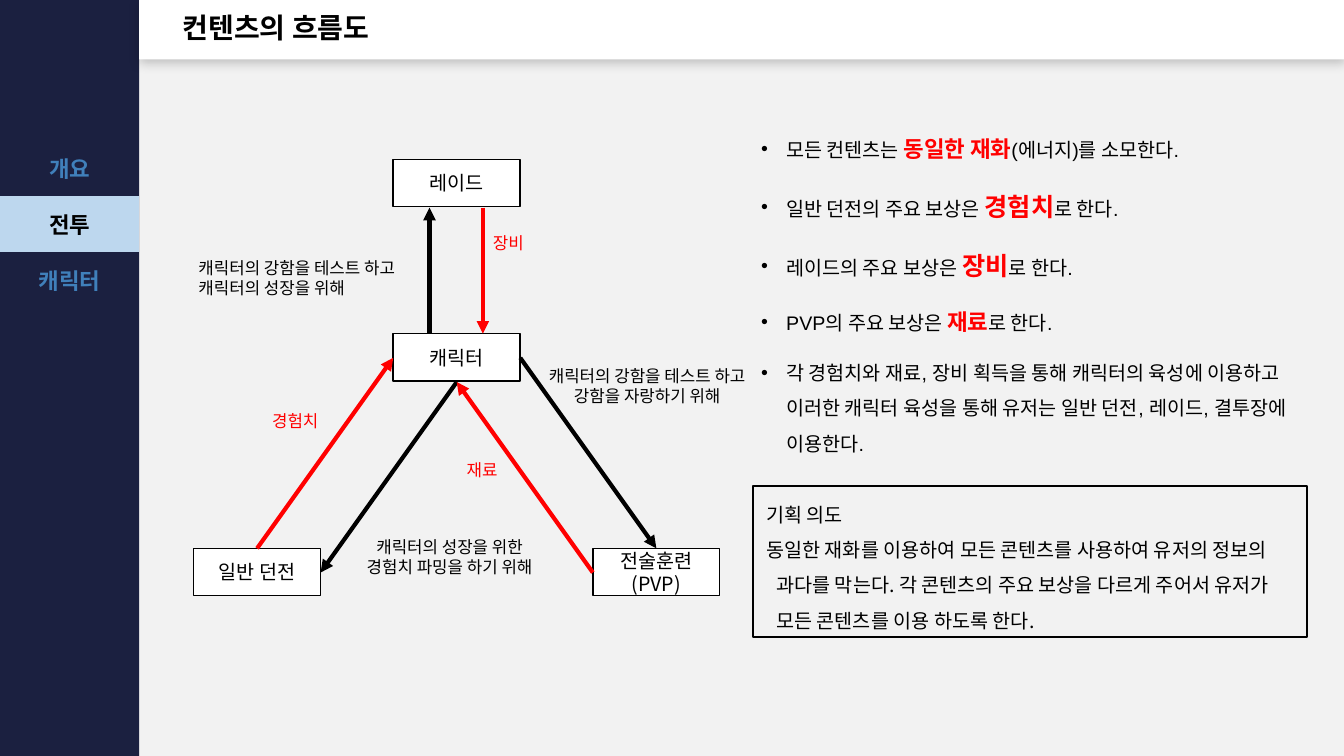
from lxml.etree import SubElement
from pptx import Presentation
from pptx.dml.color import RGBColor
from pptx.enum.shapes import MSO_CONNECTOR, MSO_SHAPE
from pptx.enum.text import MSO_ANCHOR, PP_ALIGN
from pptx.oxml.ns import qn
from pptx.util import Inches, Pt

NAVY = RGBColor(0x1B, 0x20, 0x40)
PALE_BLUE = RGBColor(0xBD, 0xD7, 0xEE)
MENU_BLUE = RGBColor(0x40, 0x80, 0xBB)
LIGHT_GRAY = RGBColor(0xF2, 0xF2, 0xF2)
WHITE = RGBColor(0xFF, 0xFF, 0xFF)
BLACK = RGBColor(0, 0, 0)
RED = RGBColor(0xFF, 0, 0)
KOREAN_FONT = "Noto Sans CJK KR"
NO_GRID_STYLE = "{2D5ABB26-0587-4C30-8999-92F81FD0307C}"


def add_run(paragraph, text, size=14, color=BLACK, bold=False, font=KOREAN_FONT):
    run = paragraph.add_run()
    run.text = text
    run.font.size = Pt(size)
    run.font.bold = bold
    run.font.color.rgb = color
    run.font.name = font
    SubElement(run.font._element, qn("a:ea"), typeface=KOREAN_FONT)


def set_indent(paragraph, indent, bullet=None):
    """Apply a hanging indent in inches, with an optional bullet character."""
    properties = paragraph._p.get_or_add_pPr()
    properties.set("marL", str(Inches(indent)))
    properties.set("indent", str(-Inches(indent)))
    if bullet:
        SubElement(properties, qn("a:buFont"), typeface="Arial")
        SubElement(properties, qn("a:buChar"), char=bullet)


class FlowSlide:
    """Holds the current slide and draws its elements in one style."""

    def __init__(self, presentation):
        self.slide = presentation.slides.add_slide(presentation.slide_layouts[5])
        self.shapes = self.slide.shapes
        self.slide.background.fill.solid()
        self.slide.background.fill.fore_color.rgb = LIGHT_GRAY

    def title(self, text, left, top, width, height):
        title = self.shapes.title
        title.left, title.top = Inches(left), Inches(top)
        title.width, title.height = Inches(width), Inches(height)
        title.text_frame.vertical_anchor = MSO_ANCHOR.MIDDLE
        paragraph = title.text_frame.paragraphs[0]
        paragraph.alignment = PP_ALIGN.LEFT
        paragraph.line_spacing = 0.9
        add_run(paragraph, text, size=20, bold=True, font="Arial")
        self.shapes._spTree.append(title._element)

    def rectangle(self, left, top, width, height, fill=None, line_width=0):
        shape = self.shapes.add_shape(MSO_SHAPE.RECTANGLE, Inches(left), Inches(top),
                                      Inches(width), Inches(height))
        shape.shadow.inherit = False
        if fill is None:
            shape.fill.background()
        else:
            shape.fill.solid()
            shape.fill.fore_color.rgb = fill
        if line_width:
            shape.line.color.rgb = BLACK
            shape.line.width = Pt(line_width)
        else:
            shape.line.fill.background()
        shape.text_frame.word_wrap = True
        shape.text_frame.vertical_anchor = MSO_ANCHOR.MIDDLE
        return shape

    def header(self, left, top, width, height):
        shape = self.rectangle(left, top, width, height, WHITE)
        effects = shape._element.spPr.find(qn("a:effectLst"))
        shadow = SubElement(effects, qn("a:outerShdw"), blurRad=str(Pt(8)),
                            dist=str(Pt(2)), dir="5400000", algn="t", rotWithShape="0")
        color = SubElement(shadow, qn("a:srgbClr"), val="000000")
        SubElement(color, qn("a:alpha"), val="20000")

    def menu(self, rows, left, top, width, row_height):
        frame = self.shapes.add_table(len(rows), 1, Inches(left), Inches(top),
                                      Inches(width), Inches(row_height * len(rows)))
        table = frame.table
        table.first_row = table.horz_banding = False
        table._tbl.tblPr.find(qn("a:tableStyleId")).text = NO_GRID_STYLE
        for index, (text, color, fill) in enumerate(rows):
            cell = table.cell(index, 0)
            cell.fill.solid()
            cell.fill.fore_color.rgb = fill
            cell.vertical_anchor = MSO_ANCHOR.MIDDLE
            if text:
                paragraph = cell.text_frame.paragraphs[0]
                paragraph.alignment = PP_ALIGN.CENTER
                add_run(paragraph, text, size=16, color=color, bold=True)

    def node(self, lines, left, top, width=1.26, height=0.47):
        frame = self.rectangle(left, top, width, height, WHITE, 1).text_frame
        for index, line in enumerate(lines):
            paragraph = frame.add_paragraph() if index else frame.paragraphs[0]
            paragraph.alignment = PP_ALIGN.CENTER
            add_run(paragraph, line)

    def arrow(self, start, end, color):
        connector = self.shapes.add_connector(MSO_CONNECTOR.STRAIGHT,
                                              *map(Inches, start + end))
        connector.line.color.rgb = color
        connector.line.width = Pt(3)
        SubElement(connector.line._get_or_add_ln(), qn("a:tailEnd"), type="triangle")
        SubElement(connector._element.spPr, qn("a:effectLst"))

    def text_box(self, left, top, width, height):
        frame = self.shapes.add_textbox(Inches(left), Inches(top),
                                        Inches(width), Inches(height)).text_frame
        frame.word_wrap = True
        return frame

    def label(self, text, left, top, width=1.65, color=RED, align=PP_ALIGN.LEFT):
        frame = self.text_box(left, top, width, 0.47)
        frame.vertical_anchor = MSO_ANCHOR.MIDDLE
        frame.paragraphs[0].alignment = align
        add_run(frame.paragraphs[0], text, size=12, color=color)

    def bullets(self, items, left, top, width, height):
        """Each item is (text, highlighted text, highlight size, closing text)."""
        frame = self.text_box(left, top, width, height)
        for index, (text, highlight, size, closing) in enumerate(items):
            paragraph = frame.add_paragraph() if index else frame.paragraphs[0]
            set_indent(paragraph, 0.25, "•")
            paragraph.line_spacing = 1.5
            if index:
                paragraph.space_before = Pt(10)
            add_run(paragraph, text, font="Arial")
            if highlight:
                add_run(paragraph, highlight, size, RED, True, "Arial")
                add_run(paragraph, closing, font="Arial")

    def intent_box(self, lines, left, top, width, height):
        frame = self.rectangle(left, top, width, height, line_width=1.5).text_frame
        frame.margin_left = frame.margin_right = Inches(0.13)
        frame.margin_top = frame.margin_bottom = Inches(0.06)
        for index, line in enumerate(lines):
            paragraph = frame.add_paragraph() if index else frame.paragraphs[0]
            set_indent(paragraph, 0.1)
            paragraph.alignment = PP_ALIGN.LEFT
            paragraph.line_spacing = 1.5
            add_run(paragraph, line)


def main():
    presentation = Presentation()
    presentation.slide_width, presentation.slide_height = Inches(13.33), Inches(7.5)
    flow = FlowSlide(presentation)

    flow.rectangle(0, 0, 1.38, 7.5, NAVY)
    flow.header(1.38, 0, 11.95, 0.59)
    flow.menu([("개요", MENU_BLUE, NAVY), ("전투", BLACK, PALE_BLUE),
               ("캐릭터", MENU_BLUE, NAVY), ("", MENU_BLUE, NAVY)], 0, 1.38, 1.38, 0.56)
    flow.title("컨텐츠의 흐름도", 1.71, 0, 10.09, 0.59)

    flow.bullets([
        ("모든 컨텐츠는 ", "동일한 재화", 16, "(에너지)를 소모한다."),
        ("일반 던전의 주요 보상은 ", "경험치", 18, "로 한다."),
        ("레이드의 주요 보상은 ", "장비", 18, "로 한다."),
        ("PVP의 주요 보상은 ", "재료", 16, "로 한다."),
        ("각 경험치와 재료, 장비 획득을 통해 캐릭터의 육성에 이용하고 이러한 캐릭터 "
         "육성을 통해 유저는 일반 던전, 레이드, 결투장에 이용한다.", "", 14, ""),
    ], 7.45, 1.16, 5.5, 5.98)

    flow.node(["캐릭터"], 3.9, 3.31)
    flow.node(["일반 던전"], 1.92, 5.44)
    flow.node(["전술훈련", "(PVP)"], 5.88, 5.44)
    flow.node(["레이드"], 3.9, 1.58)

    character_bottom = (4.53, 3.79)
    for start, end, color in [
        (character_bottom, (3.18, 5.68), BLACK),
        ((5.16, 3.55), (6.51, 5.44), BLACK),
        ((4.26, 3.31), (4.26, 2.06), BLACK),
        ((2.55, 5.44), (3.9, 3.55), RED),
        ((4.79, 2.06), (4.79, 3.31), RED),
        ((5.88, 5.68), character_bottom, RED),
    ]:
        flow.arrow(start, end, color)

    flow.label("캐릭터의 강함을 테스트 하고 강함을 자랑하기 위해", 5.29, 3.59, 2.26,
               BLACK, PP_ALIGN.CENTER)
    flow.label("캐릭터의 성장을 위한 경험치 파밍을 하기 위해", 3.39, 5.29, 2.14,
               BLACK, PP_ALIGN.CENTER)
    flow.label("캐릭터의 강함을 테스트 하고 캐릭터의 성장을 위해", 1.87, 2.52, 2.39, BLACK)
    flow.label("장비", 4.79, 2.17)
    flow.label("경험치", 2.6, 3.94)
    flow.label("재료", 4.53, 4.43)

    flow.intent_box([
        "기획 의도",
        "동일한 재화를 이용하여 모든 콘텐츠를 사용하여 유저의 정보의 과다를 막는다. "
        "각 콘텐츠의 주요 보상을 다르게 주어서 유저가 모든 콘텐츠를 이용 하도록 한다.",
    ], 7.47, 4.82, 5.49, 1.5)

    presentation.save("out.pptx")


if __name__ == "__main__":
    main()
